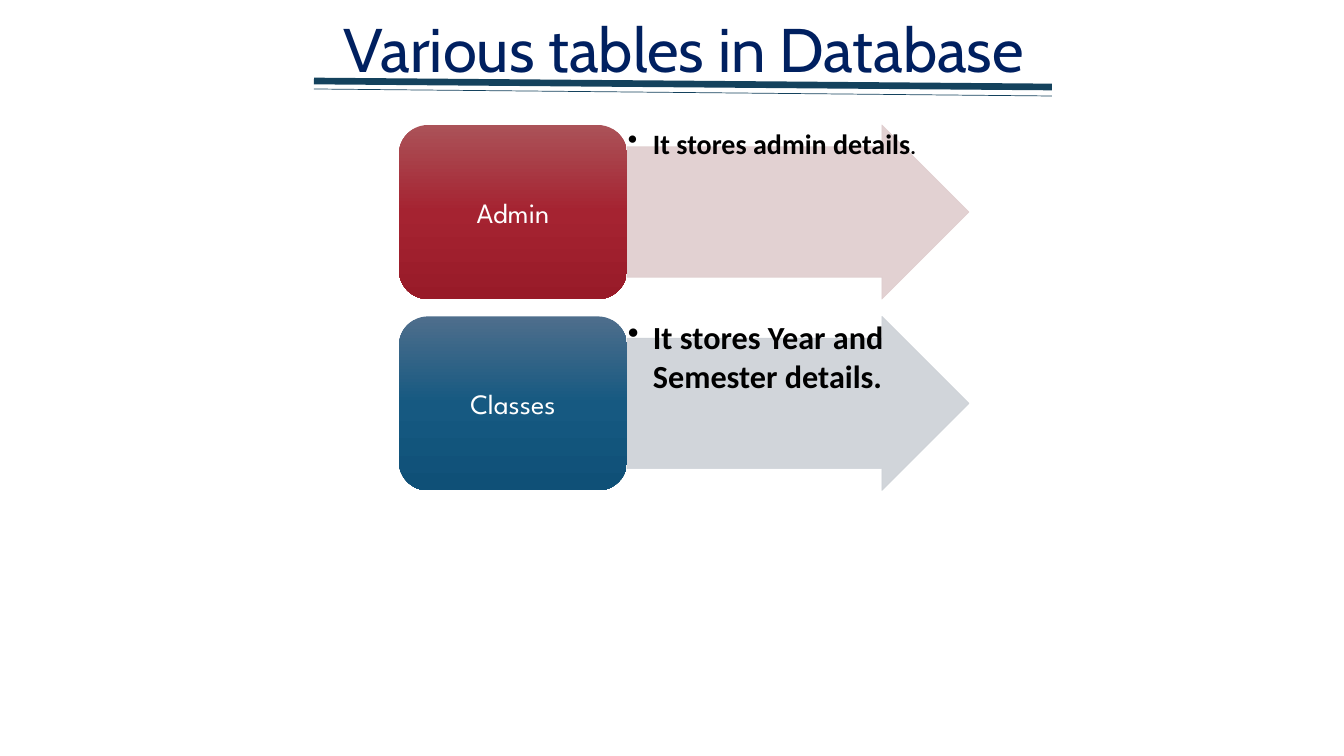
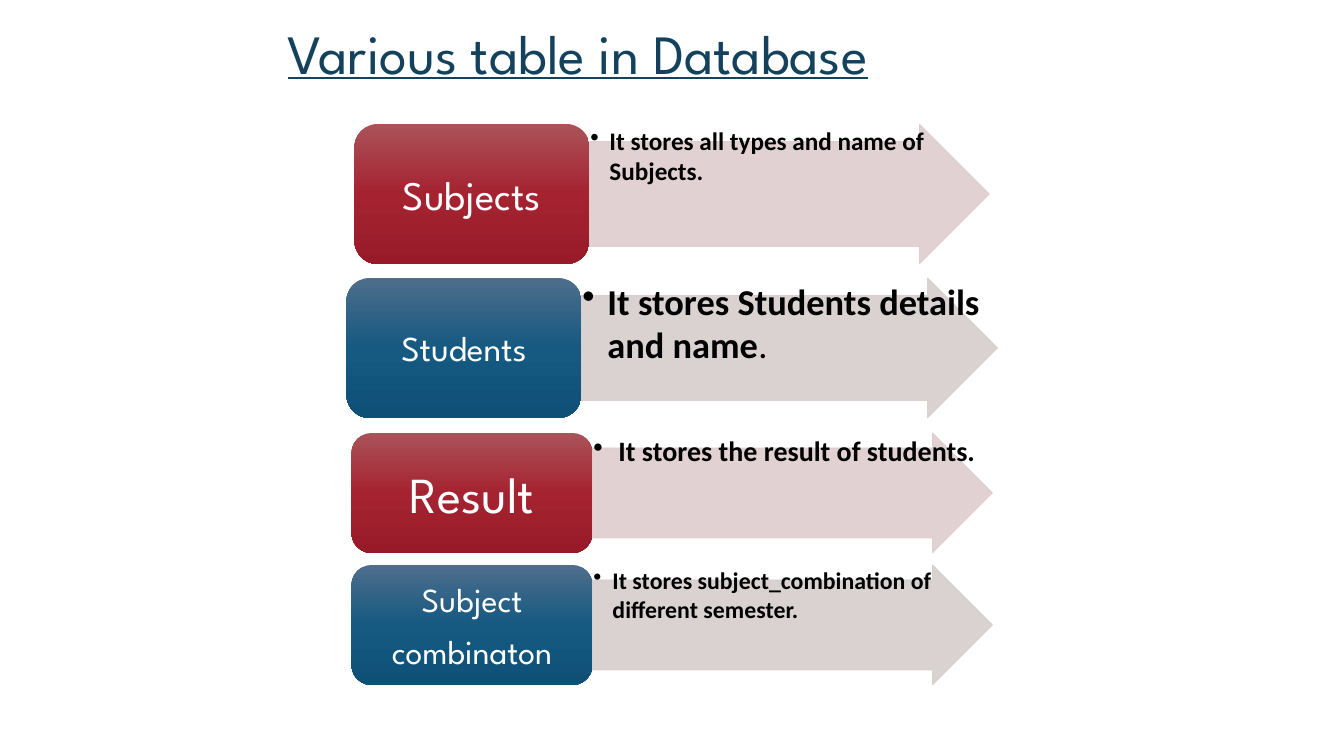
from copy import deepcopy

from lxml.etree import SubElement
from pptx import Presentation
from pptx.dml.color import RGBColor
from pptx.enum.shapes import MSO_CONNECTOR as Link, MSO_SHAPE as Shape
from pptx.enum.text import MSO_ANCHOR as Anchor, PP_ALIGN as Align
from pptx.oxml.ns import qn
from pptx.util import Emu, Pt

WIDE, HIGH = 1344, 756
HEAD, BODY = "League Spartan", "Calibri"
NAVY, TEAL, WHITE, BLACK = "002060", "14425D", "FFFFFF", "000000"
RED = ("AB5258", "A52331", "981A28")
BLUE = ("4E6E8C", "165981", "0F5077")
ROSE, STEEL, GREY = "DFCDCE", "CDD1D7", "D7CDCD"

# Title: text, font, size, colour, alignment, underline, box
# Rule: x1, y1, x2, y2, weight
# Group: centre, top, row height, label width, arrow tints, rows
# Row: label lines, label size, arrow width, note runs of (text, size, bold)
SLIDES = [
    {
        "title": ("Various tables in Database", "Cabin", 44, NAVY,
                  Align.CENTER, False, (124, 14, 1120, 78)),
        "rules": [(314, 81, 1052, 87, 4.75), (314, 89, 1052, 96, 0.5)],
        "groups": [
            (684, 125, 174, 228, (ROSE, STEEL), [
                (["Admin"], 20, 342,
                 [("It stores admin details", 20, True), (".", 15, True)]),
                (["Classes"], 20, 342,
                 [("It stores Year and Semester details.", 23, True)]),
            ]),
        ],
    },
    {
        "title": ("Various table in Database", HEAD, 39.6, TEAL,
                  Align.LEFT, True, (275, 21, 968, 72)),
        "rules": [],
        "groups": [
            (672, 124, 140, 235, (ROSE, GREY), [
                (["Subjects"], 29, 400,
                 [("It stores all types and name of Subjects.", 18, True)]),
                (["Students"], 25, 416,
                 [("It stores Students details and name", 26, True),
                  (".", 26, False)]),
            ]),
            (672, 433, 120, 241, (ROSE, GREY), [
                (["Result"], 36, 400,
                 [("It stores the result of students.", 20, True)]),
                (["Subject", "combinaton"], 24, 400,
                 [("It stores subject_combination of different semester.",
                   17, True)]),
            ]),
        ],
    },
]


def px(n):
    return Emu(round(n * 914400 / 100.8))


def rgb(code):
    return RGBColor.from_string(code)


def frame(shape, side, top, anchor):
    """Set the insets and anchor of a shape's text and return its frame."""
    text = shape.text_frame
    text.word_wrap = True
    text.margin_left = text.margin_right = px(side)
    text.margin_top = text.margin_bottom = px(top)
    text.vertical_anchor = anchor
    return text


def write(para, text, name, size, color, bold=False, under=False):
    run = para.add_run()
    run.text = text
    font = run.font
    font.name, font.size, font.bold = name, Pt(size), bold
    font.underline = under
    font.color.rgb = rgb(color)


def gap(para, part):
    """Add space after a paragraph as a percentage of its text size."""
    after = SubElement(para._p.get_or_add_pPr(), qn("a:spcAft"))
    SubElement(after, qn("a:spcPct")).set("val", str(part * 1000))


def add_shape(slide, kind, box):
    shape = slide.shapes.add_shape(kind, *map(px, box))
    shape.shadow.inherit = False
    return shape


def add_title(slide, text, name, size, color, align, under, box):
    para = frame(slide.shapes.add_textbox(*map(px, box)),
                 13, 7, Anchor.BOTTOM).paragraphs[0]
    para.alignment, para.line_spacing = align, 0.85
    write(para, text, name, size, color, under=under)


def add_rule(slide, x1, y1, x2, y2, weight):
    rule = slide.shapes.add_connector(Link.STRAIGHT, *map(px, (x1, y1, x2, y2)))
    rule.line.color.rgb, rule.line.width = rgb(TEAL), Pt(weight)
    SubElement(rule._element.spPr, qn("a:effectLst"))


def add_arrow(slide, box, tint):
    arrow = add_shape(slide, Shape.RIGHT_ARROW, box)
    arrow.adjustments[0], arrow.adjustments[1] = 0.75, 0.5
    arrow.fill.solid()
    arrow.fill.fore_color.rgb = arrow.line.color.rgb = rgb(tint)
    arrow.line.width = Pt(0.5)
    for color in arrow._element.spPr.iter(qn("a:srgbClr")):
        SubElement(color, qn("a:alpha")).set("val", "90000")


def add_note(slide, box, runs):
    para = frame(slide.shapes.add_textbox(*map(px, box)),
                 1, 1, Anchor.TOP).paragraphs[0]
    indent = px(19 if runs[0][1] < 20 else 25)
    props = para._p.get_or_add_pPr()
    props.set("marL", str(indent))
    props.set("indent", str(-indent))
    gap(para, 15)
    SubElement(props, qn("a:buChar")).set("char", "•")
    for text, size, bold in runs:
        write(para, text, BODY, size, BLACK, bold)


def add_label(slide, box, lines, size, shades):
    label = add_shape(slide, Shape.ROUNDED_RECTANGLE, box)
    label.line.fill.background()
    label.fill.gradient()
    label.fill.gradient_angle = 270
    stops = label._element.spPr.find(".//" + qn("a:gsLst"))
    stops.append(deepcopy(stops[-1]))
    for stop, spot, shade in zip(label.fill.gradient_stops, (0, 0.5, 1), shades):
        stop.position, stop.color.rgb = spot, rgb(shade)
    text = frame(label, 8, 4, Anchor.MIDDLE)
    for i, line in enumerate(lines):
        para = text.add_paragraph() if i else text.paragraphs[0]
        para.alignment = Align.CENTER
        gap(para, 35)
        write(para, line, HEAD, size, WHITE)


def add_group(slide, mid, top, high, wide, tints, rows):
    """Stack label and arrow rows about one centre, a tenth of a row apart."""
    for i, (lines, size, reach, runs) in enumerate(rows):
        left, y = mid - (wide + reach) / 2, top + i * high * 1.1
        box = (left + wide, y, reach, high)
        add_arrow(slide, box, tints[i])
        add_note(slide, box, runs)
        add_label(slide, (left, y, wide, high), lines, size, (RED, BLUE)[i])


def main():
    deck = Presentation()
    deck.slide_width, deck.slide_height = px(WIDE), px(HIGH)
    for page in SLIDES:
        slide = deck.slides.add_slide(deck.slide_layouts[6])
        add_title(slide, *page["title"])
        for rule in page["rules"]:
            add_rule(slide, *rule)
        for group in page["groups"]:
            add_group(slide, *group)
    deck.save("out.pptx")


if __name__ == "__main__":
    main()
